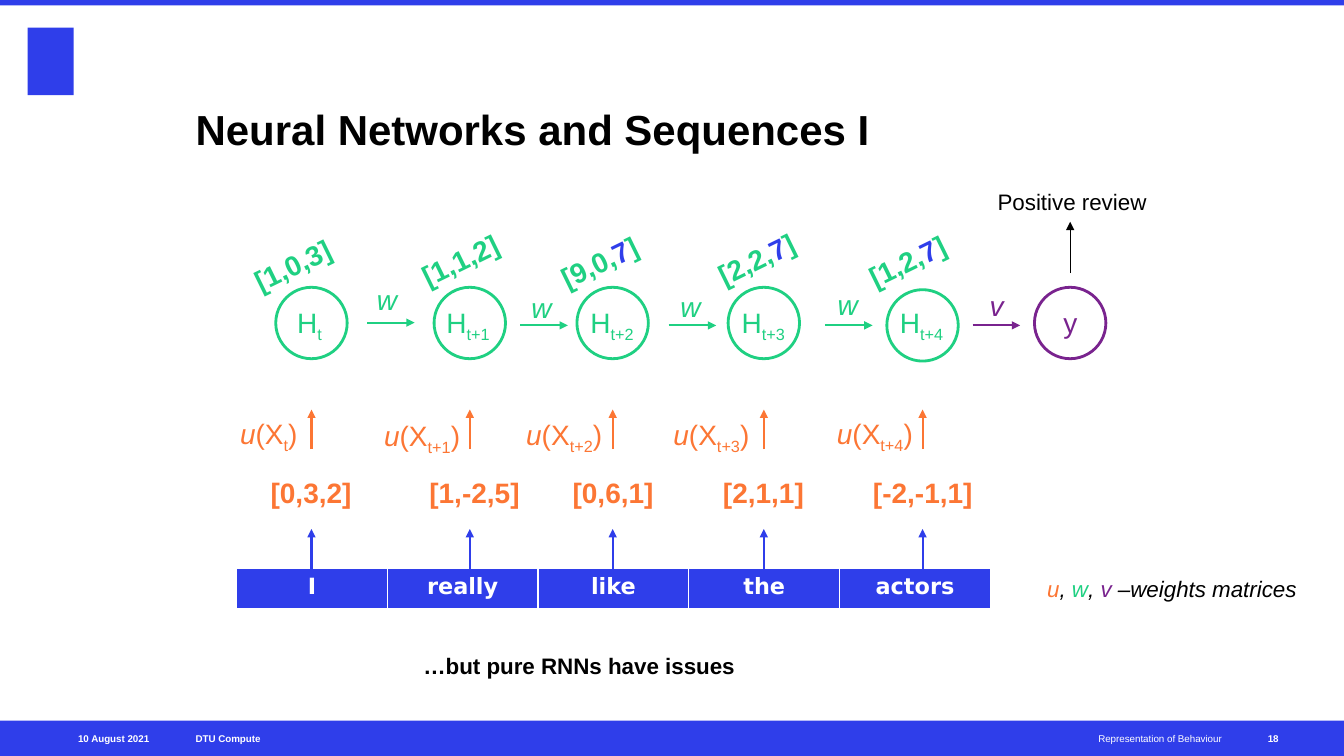
from lxml.etree import SubElement
from pptx import Presentation
from pptx.dml.color import RGBColor
from pptx.enum.shapes import MSO_CONNECTOR, MSO_SHAPE
from pptx.enum.text import MSO_ANCHOR, PP_ALIGN
from pptx.oxml.ns import qn
from pptx.util import Cm, Pt

BLUE = RGBColor(0x2F, 0x3E, 0xEA)
GREEN = RGBColor(0x1F, 0xD0, 0x82)
ORANGE = RGBColor(0xFC, 0x76, 0x34)
PURPLE = RGBColor(0x79, 0x23, 0x8E)
BLACK = RGBColor(0, 0, 0)
WHITE = RGBColor(0xFF, 0xFF, 0xFF)

WORDS = ["I", "really", "like", "the", "actors"]
MIDDLES = [7.85, 11.84, 15.44, 19.25, 23.25]
INPUTS = [("[0,3,2]", 6.82), ("[1,-2,5]", 10.82), ("[0,6,1]", 14.43),
          ("[2,1,1]", 18.22), ("[-2,-1,1]", 22)]
STATES = [("[1,0,3]", "", 6.35, 6.25), ("[1,1,2]", "", 10.57, 6.12),
          ("[9,0,", "7", 14.08, 6.17), ("[2,2,", "7", 18.04, 6.1),
          ("[1,2,", "7", 21.84, 6.15)]
NODES = [(7.49, 7.24), (11.25, 7.24), (14.88, 7.24), (18.69, 7.24), (22.68, 7.3)]
WEIGHTS = [(6.05, 10.49), (9.68, 10.54), (13.26, 10.52), (16.97, 10.52), (21.09, 10.49)]
STEPS = [("w", GREEN, 9.25, 8.13, 9.5, 7.11), ("w", GREEN, 13.11, 8.2, 13.39, 7.32),
         ("w", GREEN, 16.85, 8.2, 17.15, 7.29), ("w", GREEN, 20.79, 8.2, 21.11, 7.24),
         ("v", PURPLE, 24.51, 8.2, 24.94, 7.26)]


def write(par, text, size=20, color=BLACK, bold=False, italic=False, base=0, face="Arial"):
    run = par.add_run()
    run.text = text
    font = run.font
    font.name, font.size, font.bold, font.italic = face, Pt(size), bold, italic
    font.color.rgb = color
    if base:
        run._r.get_or_add_rPr().set("baseline", str(base * 1000))


class Deck:
    """Holds the style and the current slide, and draws each kind of element."""

    def __init__(self):
        self.file = Presentation()
        self.file.slide_width, self.file.slide_height = Cm(33.87), Cm(19.05)
        self.slide = self.file.slides.add_slide(self.file.slide_layouts[6])
        self.shapes = self.slide.shapes

    def text(self, parts, x, y, wide, high=0.86, wrap=True, turn=0,
             align=PP_ALIGN.LEFT, anchor=MSO_ANCHOR.TOP, **form):
        box = self.shapes.add_textbox(Cm(x), Cm(y), Cm(wide), Cm(high))
        box.rotation = turn
        frame = box.text_frame
        frame.word_wrap = wrap
        frame.vertical_anchor = anchor
        frame.margin_left = frame.margin_right = frame.margin_top = frame.margin_bottom = 0
        par = frame.paragraphs[0]
        par.alignment = align
        for part, change in [(parts, {})] if isinstance(parts, str) else parts:
            write(par, part, **{**form, **change})

    def shape(self, kind, x, y, wide, high, fill=BLUE, line=None):
        shape = self.shapes.add_shape(kind, Cm(x), Cm(y), Cm(wide), Cm(high))
        shape.shadow.inherit = False
        shape.fill.solid()
        shape.fill.fore_color.rgb = fill
        if line is None:
            shape.line.fill.background()
        else:
            shape.line.color.rgb = line
            shape.line.width = Pt(2)

    def ring(self, x, y, color):
        self.shape(MSO_SHAPE.OVAL, x - 0.9, y, 1.8, 1.8, WHITE, color)

    def arrow(self, x, y, end_x, end_y, color, width=1.5):
        link = self.shapes.add_connector(MSO_CONNECTOR.STRAIGHT,
                                         Cm(x), Cm(y), Cm(end_x), Cm(end_y))
        link.line.color.rgb = color
        link.line.width = Pt(width)
        SubElement(link.line._get_or_add_ln(), qn("a:tailEnd"), type="triangle")
        SubElement(link._element.spPr, qn("a:effectLst"))

    def table(self, words, x, y, wide, high):
        table = self.shapes.add_table(1, len(words), Cm(x), Cm(y), Cm(wide), Cm(high)).table
        table.first_row = table.horz_banding = False
        for cell, word in zip(table.iter_cells(), words):
            par = cell.text_frame.paragraphs[0]
            par.alignment = PP_ALIGN.CENTER
            write(par, word, size=16, color=WHITE, bold=True, face="DejaVu Sans")
            props = cell._tc.get_or_add_tcPr()
            for side, width in (("L", 1), ("R", 1), ("T", 1), ("B", 3)):
                edge = SubElement(props, qn(f"a:ln{side}"), w=str(Pt(width)))
                paint = SubElement(edge, qn("a:solidFill"))
                SubElement(paint, qn("a:srgbClr"), val=str(WHITE))
            cell.fill.solid()
            cell.fill.fore_color.rgb = BLUE


def frame(deck):
    deck.shape(MSO_SHAPE.RECTANGLE, 0.7, 0.7, 1.16, 1.7)
    deck.shape(MSO_SHAPE.RECTANGLE, 0, 18.16, 33.87, 0.89)
    deck.shape(MSO_SHAPE.RECTANGLE, 0, 0, 33.87, 0.14)
    deck.text("Neural Networks and Sequences I", 4.93, 1.19, 25.86, 2.69,
              anchor=MSO_ANCHOR.BOTTOM, size=30, bold=True)
    for note, x, wide, align, bold in (
            ("DTU Compute", 4.93, 9.45, PP_ALIGN.LEFT, True),
            ("10 August 2021", 0.69, 3.07, PP_ALIGN.RIGHT, True),
            ("Representation of Behaviour", 15.52, 15.27, PP_ALIGN.RIGHT, False),
            ("18", 31.95, 1.19, PP_ALIGN.LEFT, True)):
        deck.text(note, x, 18.16, wide, 0.89, align=align, anchor=MSO_ANCHOR.MIDDLE,
                  size=7, color=WHITE, bold=bold)


def network(deck):
    deck.table(WORDS, 5.96, 14.33, 19, 1.04)
    columns = zip(MIDDLES, INPUTS, STATES, NODES, WEIGHTS)
    for step, (mid, given, state, node, weight) in enumerate(columns):
        time = (f"t+{step}" if step else "t", {"base": -25})
        deck.arrow(mid, 14.33, mid, 13.33, BLUE)
        deck.arrow(mid, 11.32, mid, 10.32, ORANGE)
        vector, x = given
        deck.text(vector, x, 11.97, 3, color=ORANGE, bold=True)
        x, top = node
        deck.ring(mid, top, GREEN)
        deck.text([("H", {}), time], x, 7.7, 1.3, color=GREEN)
        start, seven, x, y = state
        parts = [(start, {})]
        if seven:
            parts += [(seven, {"color": BLUE}), ("]", {})]
        deck.text(parts, x, y, 2.06, wrap=False, turn=-26, color=GREEN, bold=True)
        deck.text([("u", {"italic": True}), ("(X", {}), time, (")", {})],
                  *weight, 2.2, color=ORANGE)
    for name, color, x, y, left, top in STEPS:
        deck.arrow(x, y, x + 1.2, y, color)
        deck.text(name, left, top, 0.74, color=color, italic=True)


def result(deck):
    deck.ring(26.97, 7.24, PURPLE)
    deck.text("y", 26.38, 7.7, 1.19, align=PP_ALIGN.CENTER, color=PURPLE)
    deck.arrow(26.97, 6.88, 26.97, 5.59, BLACK, 0.75)
    deck.text("Positive review", 25.14, 4.75, 4.2, 0.69, size=16)
    deck.text([("u", {"color": ORANGE}), (", ", {}), ("w", {"color": GREEN}), (", ", {}),
               ("v", {"color": PURPLE}), (" –weights matrices", {})],
              26.39, 14.5, 7, 0.69, size=16, italic=True)
    deck.text("…but pure RNNs have issues", 10.67, 16.43, 8.5, 0.69, size=16, bold=True)


def main():
    deck = Deck()
    frame(deck)
    network(deck)
    result(deck)
    deck.file.save("out.pptx")


if __name__ == "__main__":
    main()
